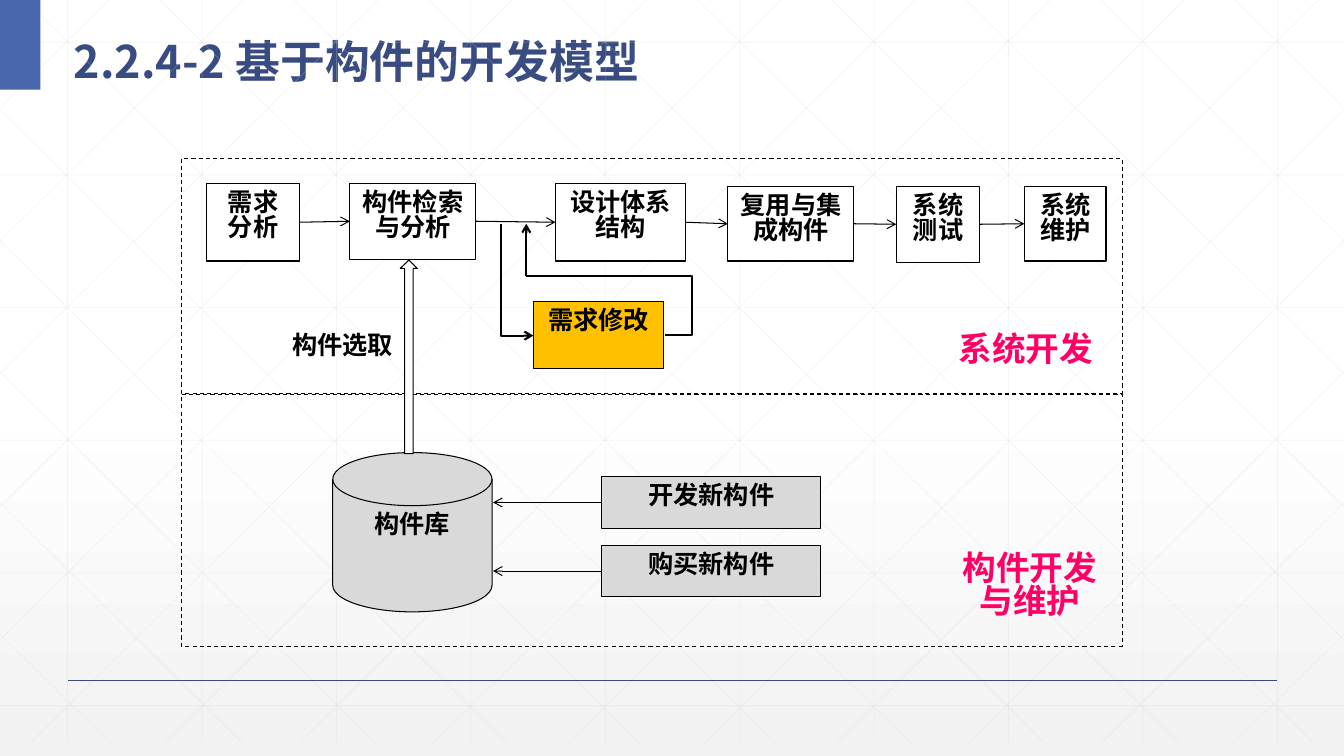
from copy import deepcopy

from lxml.etree import SubElement
from pptx import Presentation
from pptx.dml.color import RGBColor
from pptx.enum.dml import MSO_LINE
from pptx.enum.shapes import MSO_CONNECTOR, MSO_SHAPE
from pptx.enum.text import MSO_ANCHOR, PP_ALIGN
from pptx.oxml.ns import qn
from pptx.util import Inches, Pt

WIDTH, HEIGHT = 13.33, 7.5
BLACK = RGBColor(0x00, 0x00, 0x00)
WHITE = RGBColor(0xFF, 0xFF, 0xFF)
PALE = RGBColor(0xF2, 0xF2, 0xF2)
GREY = RGBColor(0xD9, 0xD9, 0xD9)
BLUE = RGBColor(0x4A, 0x66, 0xAC)
NAVY = RGBColor(0x38, 0x4C, 0x81)
AMBER = RGBColor(0xFF, 0xC0, 0x00)
PINK = RGBColor(0xFF, 0x00, 0x66)
LATIN_FONT = "Times New Roman"
CHINESE_FONT = "Noto Sans CJK SC"


class SlideBuilder:
    """Holds the style and the current slide."""

    def __init__(self, deck):
        self.page = deck.slides.add_slide(deck.slide_layouts[5])
        self.shapes = self.page.shapes

    def background(self):
        fill = self.page.background.fill
        fill.gradient()
        fill.gradient_angle = 270
        first = fill.gradient_stops[0]._gs
        first.addnext(deepcopy(first))
        for stop, position, color in zip(fill.gradient_stops, (0, 0.53, 1), (WHITE, WHITE, PALE)):
            stop.position = position
            stop.color.rgb = color

    def add_span(self, para, text, size, color, latin=LATIN_FONT):
        span = para.add_run()
        span.text = text
        span.font.size = Pt(size)
        span.font.bold = True
        span.font.color.rgb = color
        span.font.name = latin
        SubElement(span._r.get_or_add_rPr(), qn("a:ea"), typeface=CHINESE_FONT)

    def title(self, text, left, top, width, height):
        box = self.shapes.title
        box.left, box.top = Inches(left), Inches(top)
        box.width, box.height = Inches(width), Inches(height)
        box.text_frame.vertical_anchor = MSO_ANCHOR.MIDDLE
        para = box.text_frame.paragraphs[0]
        para.alignment = PP_ALIGN.LEFT
        para.line_spacing = 1.3
        self.add_span(para, text, 32, NAVY, CHINESE_FONT)

    def fill_text(self, box, text, size, color, align):
        frame = box.text_frame
        frame.word_wrap = True
        frame.vertical_anchor = MSO_ANCHOR.TOP
        frame.margin_top = Inches(0.08)
        para = frame.paragraphs[0]
        para.alignment = align
        para.line_spacing = 0.83
        self.add_span(para, text, size, color)

    def label(self, text, left, top, width, height, size, color, align=PP_ALIGN.CENTER):
        box = self.shapes.add_textbox(Inches(left), Inches(top), Inches(width), Inches(height))
        self.fill_text(box, text, size, color, align)

    def shape(self, left, top, width, height, fill=None, text="",
              kind=MSO_SHAPE.RECTANGLE, outline=BLACK, dash=None):
        box = self.shapes.add_shape(kind, Inches(left), Inches(top), Inches(width), Inches(height))
        box.shadow.inherit = False
        if fill is None:
            box.fill.background()
        else:
            box.fill.solid()
            box.fill.fore_color.rgb = fill
        if outline is None:
            box.line.fill.background()
        else:
            box.line.color.rgb = outline
            box.line.width = Pt(0.75)
            box.line.dash_style = dash
        if text:
            self.fill_text(box, text, 18, BLACK, PP_ALIGN.CENTER)
        return box

    def line(self, start, end, color=BLACK, weight=0.75, arrow=None, opacity=None,
             kind=MSO_CONNECTOR.STRAIGHT):
        line = self.shapes.add_connector(kind, *map(Inches, (*start, *end)))
        line.line.color.rgb = color
        line.line.width = Pt(weight)
        outline = line.line._get_or_add_ln()
        if opacity:
            SubElement(outline.find(".//" + qn("a:srgbClr")), qn("a:alpha"), val=str(opacity * 1000))
        if arrow:
            SubElement(outline, qn(f"a:{arrow}"), type="arrow")
        SubElement(line._element.spPr, qn("a:effectLst"))
        return line

    def elbow(self, start, end, preset, bend=None, arrow=None):
        line = self.line(start, end, weight=1.5, arrow=arrow, kind=MSO_CONNECTOR.ELBOW)
        geometry = line._element.spPr.find(qn("a:prstGeom"))
        geometry.set("prst", preset)
        if bend is not None:
            guides = geometry.find(qn("a:avLst"))
            if guides is None:
                guides = SubElement(geometry, qn("a:avLst"))
            SubElement(guides, qn("a:gd"), name="adj1", fmla=f"val {round(bend * 100000)}")

    def grid(self):
        bottom, step, slope = 7.37, 4 / 3, 0.99
        strokes = [((x, 0), (x, bottom)) for x in (0.67 + step * i for i in range(10))]
        strokes += [((0, y), (WIDTH, y)) for y in (0.42 + 1.316 * i for i in range(6))]
        starts = [(0.25 + step * i, 0) for i in range(10)]
        starts += [(0, 1.09 + 1.3 * i) for i in range(5)]
        for x, y in starts:
            run = min(WIDTH - x, (bottom - y) / slope)
            end_x, end_y = x + run, y + run * slope
            strokes.append(((x, y), (end_x, end_y)))
            strokes.append(((WIDTH - x, y), (WIDTH - end_x, end_y)))
        for start, end in strokes:
            self.line(start, end, GREY, 0.5, opacity=25)


def main():
    deck = Presentation()
    deck.slide_width, deck.slide_height = Inches(WIDTH), Inches(HEIGHT)
    slide = SlideBuilder(deck)

    # Backdrop and title
    slide.background()
    slide.grid()
    slide.line((0.67, 6.75), (12.67, 6.75), NAVY, 1)
    slide.shape(0, 0, 0.4, 0.89, BLUE, outline=None)
    slide.title("2.2.4-2 基于构件的开发模型", 0.63, 0.16, 11.52, 0.73)

    # Dashed regions
    for top, height in ((1.57, 2.33), (3.91, 2.5)):
        slide.shape(1.8, top, 9.33, height, dash=MSO_LINE.DASH)

    # System development steps
    steps = [
        ("需求分析", 2.05, 1.82, 0.92, 0.77),
        ("构件检索与分析", 3.47, 1.82, 1.25, 0.75),
        ("设计体系结构", 5.51, 1.82, 1.29, 0.77),
        ("复用与集成构件", 7.22, 1.85, 1.25, 0.74),
        ("系统测试", 8.89, 1.85, 0.83, 0.75),
        ("系统维护", 10.16, 1.85, 0.81, 0.74),
    ]
    boxes = [slide.shape(*place, WHITE, text) for text, *place in steps]
    for before, after in zip(boxes, boxes[1:]):
        arrow = slide.line((0, 0), (1, 1), arrow="tailEnd")
        arrow.begin_connect(before, 3)
        arrow.end_connect(after, 1)

    # Component library and its sources
    slide.shape(3.3, 4.49, 1.58, 1.58, GREY, "构件库", MSO_SHAPE.FLOWCHART_MAGNETIC_DISK)
    for text, top in (("开发新构件", 4.73), ("购买新构件", 5.41)):
        source = slide.shape(5.97, top, 2.17, 0.51, GREY, text)
        middle = top + 0.255
        arrow = slide.line((5.97, middle), (4.89, middle), arrow="tailEnd")
        arrow.begin_connect(source, 1)

    # Region names and arrow label
    slide.label("构件开发与维护", 9.3, 5.41, 1.83, 0.83, 24, PINK)
    slide.label("系统开发", 9.3, 3.24, 1.75, 0.67, 24, PINK)
    slide.label("构件选取", 2.8, 3.24, 1.33, 0.41, 18, BLACK, PP_ALIGN.LEFT)

    # Requirement change loop
    slide.shape(5.29, 2.99, 1.29, 0.67, AMBER, "需求修改")
    slide.elbow((5.29, 3.33), (4.97, 2.22), "bentConnector2", arrow="headEnd")
    slide.elbow((6.6, 3.32), (5.22, 2.74), "bentConnector3", bend=-0.19)
    slide.line((5.22, 2.74), (5.22, 2.22), weight=1.5, arrow="tailEnd")

    # Selection arrow
    selection = slide.shape(3.97, 2.58, 0.17, 1.92, WHITE, kind=MSO_SHAPE.UP_ARROW)
    selection.adjustments[0] = 0.5
    selection.adjustments[1] = 0.49

    deck.save("out.pptx")


if __name__ == "__main__":
    main()
